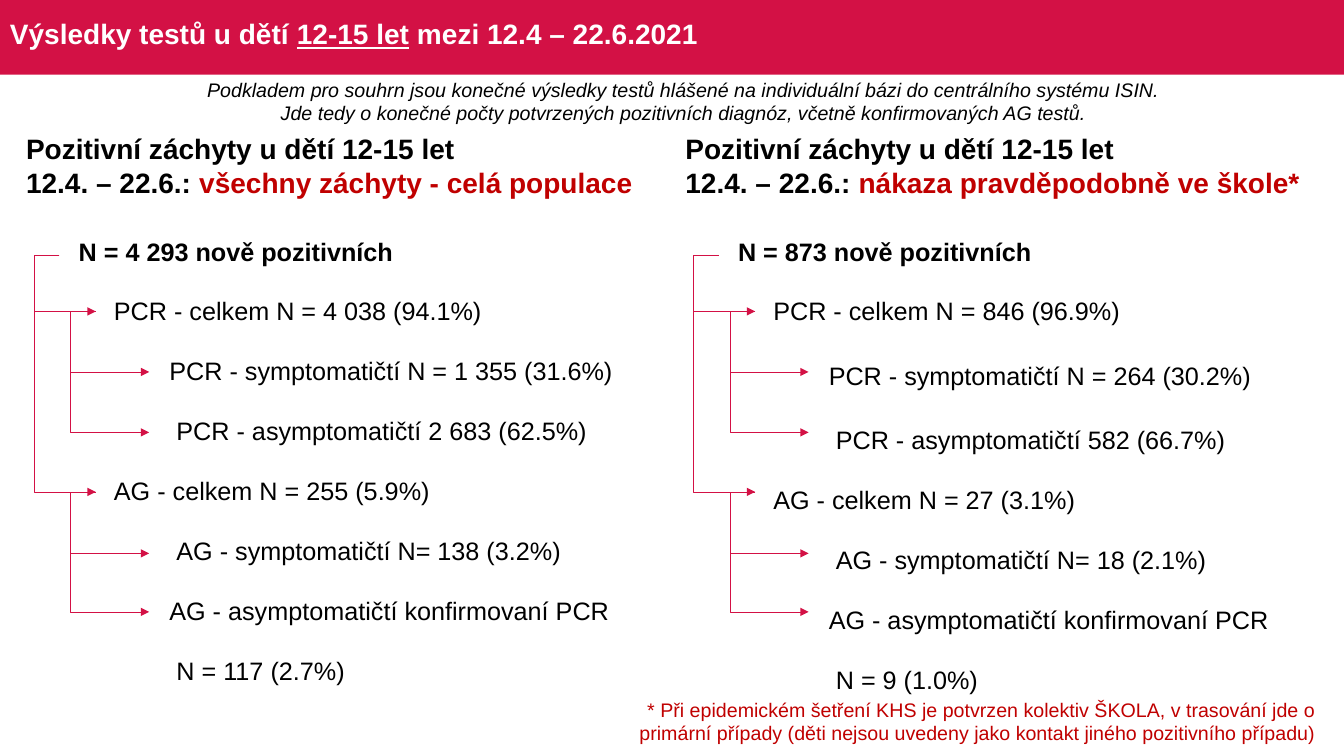
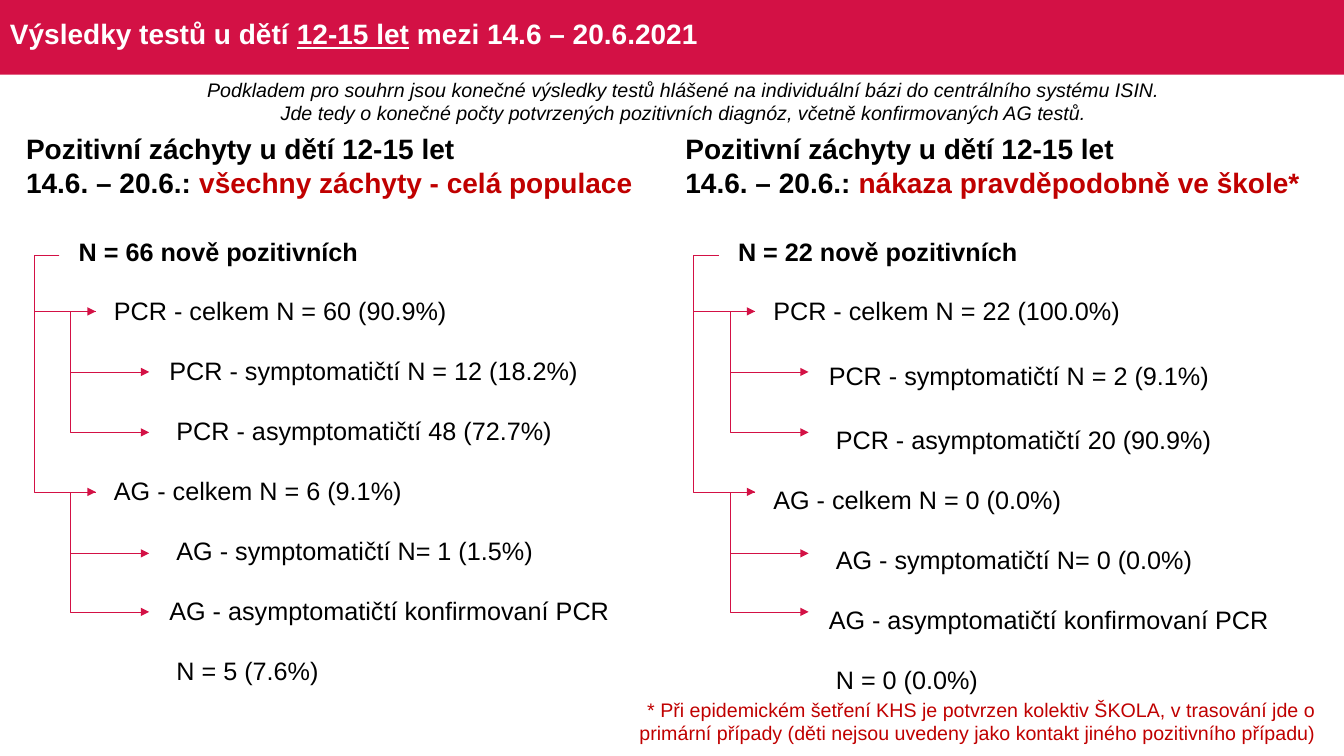
from lxml.etree import SubElement
from pptx import Presentation
from pptx.dml.color import RGBColor
from pptx.enum.shapes import MSO_CONNECTOR, MSO_SHAPE
from pptx.enum.text import MSO_ANCHOR, PP_ALIGN
from pptx.oxml.ns import qn
from pptx.util import Inches, Pt

CRIMSON, RED, BLACK, WHITE = "D31145", "C00000", "000000", "FFFFFF"
FONT = "Arial"
SOURCE_NOTE = [
    "Podkladem pro souhrn jsou konečné výsledky testů hlášené na individuální bázi do centrálního systému ISIN.",
    "Jde tedy o konečné počty potvrzených pozitivních diagnóz, včetně konfirmovaných AG testů.",
]
FOOTNOTE = (
    "* Při epidemickém šetření KHS je potvrzen kolektiv ŠKOLA, v trasování jde o "
    "primární případy (děti nejsou uvedeny jako kontakt jiného pozitivního případu)"
)
ROWS = [
    ("N = {} nově pozitivních", 0.01),
    ("PCR - celkem N = {}", 0.36),
    ("PCR - symptomatičtí N = {}", 0.91),
    ("PCR - asymptomatičtí {}", 0.98),
    ("AG - celkem N = {}", 0.36),
    ("AG - symptomatičtí N= {}", 0.98),
    ("AG - asymptomatičtí konfirmovaní PCR", 0.91),
    ("N = {}", 0.98),
]
ROW_HEIGHT = 0.595
BRANCHES = [
    (0.43, 2.53, 0.79, 4.88, 0.25),
    (0.43, 2.53, 0.79, 3.09, 0.25),
    (0.79, 3.09, 1.32, 3.69, 0.25),
    (0.79, 3.09, 1.32, 4.29, 0.25),
    (0.79, 4.88, 1.32, 5.49, 0.25),
    (0.79, 4.88, 1.32, 6.07, 0.25),
]
SIDES = [
    (0.16, "všechny záchyty - celá populace", ROW_HEIGHT),
    (6.7, "nákaza pravděpodobně ve škole*", 0.68),
]
SLIDES = [
    (" mezi 12.4 – 22.6.2021", "12.4. – 22.6.: ", [
        ["4 293", "4 038 (94.1%)", "1 355 (31.6%)", "2 683 (62.5%)",
         "255 (5.9%)", "138 (3.2%)", "", "117 (2.7%)"],
        ["873", "846 (96.9%)", "264 (30.2%)", "582 (66.7%)",
         "27 (3.1%)", "18 (2.1%)", "", "9 (1.0%)"],
    ]),
    (" mezi 14.6 – 20.6.2021", "14.6. – 20.6.: ", [
        ["66", "60 (90.9%)", "12 (18.2%)", "48 (72.7%)",
         "6 (9.1%)", "1 (1.5%)", "", "5 (7.6%)"],
        ["22", "22 (100.0%)", "2 (9.1%)", "20 (90.9%)",
         "0 (0.0%)", "0 (0.0%)", "", "0 (0.0%)"],
    ]),
]


def rgb(value):
    return RGBColor.from_string(value)


def add_text(page, place, paragraphs, size, color=BLACK, bold=False, italic=False,
             align=PP_ALIGN.LEFT, anchor=MSO_ANCHOR.TOP):
    box = page.shapes.add_textbox(*[Inches(length) for length in place])
    frame = box.text_frame
    frame.word_wrap = True
    frame.vertical_anchor = anchor
    for index, spans in enumerate(paragraphs):
        para = frame.paragraphs[0] if index == 0 else frame.add_paragraph()
        para.alignment = align
        para.font.name = FONT
        para.font.size = Pt(size)
        para.font.bold = bold
        para.font.italic = italic
        para.font.color.rgb = rgb(color)
        for text in spans:
            para.add_run().text = text
    return frame.paragraphs


deck = Presentation()
deck.slide_width, deck.slide_height = Inches(13.33), Inches(7.5)

for period, dates, results in SLIDES:
    page = deck.slides.add_slide(deck.slide_layouts[6])
    band = page.shapes.add_shape(MSO_SHAPE.RECTANGLE, 0, 0, deck.slide_width, Inches(0.74))
    band.shadow.inherit = False
    band.fill.solid()
    band.fill.fore_color.rgb = rgb(CRIMSON)
    band.line.fill.background()

    title = add_text(page, (0, 0.04, 13.15, 0.63),
                     [["Výsledky testů u dětí ", "12-15 let", period]],
                     20, WHITE, bold=True, anchor=MSO_ANCHOR.MIDDLE)[0]
    title.line_spacing = 0.9
    title.runs[1].font.underline = True
    add_text(page, (1.79, 0.72, 9.98, 0.57), [[line] for line in SOURCE_NOTE],
             14, italic=True, align=PP_ALIGN.CENTER)

    for (left, group, third_height), values in zip(SIDES, results):
        heading = add_text(page, (left, 1.26, 6.4, 0.77),
                           [["Pozitivní záchyty u dětí 12-15 let"], [dates, group]],
                           20, bold=True)
        heading[1].runs[1].font.color.rgb = rgb(RED)

        table = page.shapes.add_table(len(ROWS), 1, Inches(left + 0.61), Inches(2.2),
                                      Inches(6.01), Inches(ROW_HEIGHT * len(ROWS))).table
        table.first_row = table.horz_banding = False
        for index, ((label, indent), value) in enumerate(zip(ROWS, values)):
            table.rows[index].height = Inches(third_height if index == 2 else ROW_HEIGHT)
            cell = table.cell(index, 0)
            cell.fill.background()
            cell.vertical_anchor = MSO_ANCHOR.MIDDLE
            cell.margin_left = Inches(indent)
            cell.margin_right = cell.margin_top = Inches(0.01)
            cell.margin_bottom = 0
            para = cell.text_frame.paragraphs[0]
            para.add_run().text = label.format(value)
            para.font.name = FONT
            para.font.size = Pt(18)
            para.font.bold = index == 0
            para.font.color.rgb = rgb(BLACK)

        for start, top, end, bottom, reach in BRANCHES:
            branch = page.shapes.add_connector(
                MSO_CONNECTOR.ELBOW, Inches(left + start), Inches(top),
                Inches(left + end), Inches(bottom))
            branch.line.color.rgb = rgb(CRIMSON)
            branch.line.width = Pt(0.5)
            properties = branch.element.spPr
            guides = properties.find(qn("a:prstGeom")).get_or_add_avLst()
            bend = round(-reach / (end - start) * 100000)
            SubElement(guides, qn("a:gd"), name="adj1", fmla=f"val {bend}")
            SubElement(branch.line._get_or_add_ln(), qn("a:tailEnd"), type="triangle")
            SubElement(properties, qn("a:effectLst"))

    add_text(page, (6.2, 6.87, 6.95, 0.57), [[FOOTNOTE]], 14, RED, align=PP_ALIGN.RIGHT)

deck.save("out.pptx")
